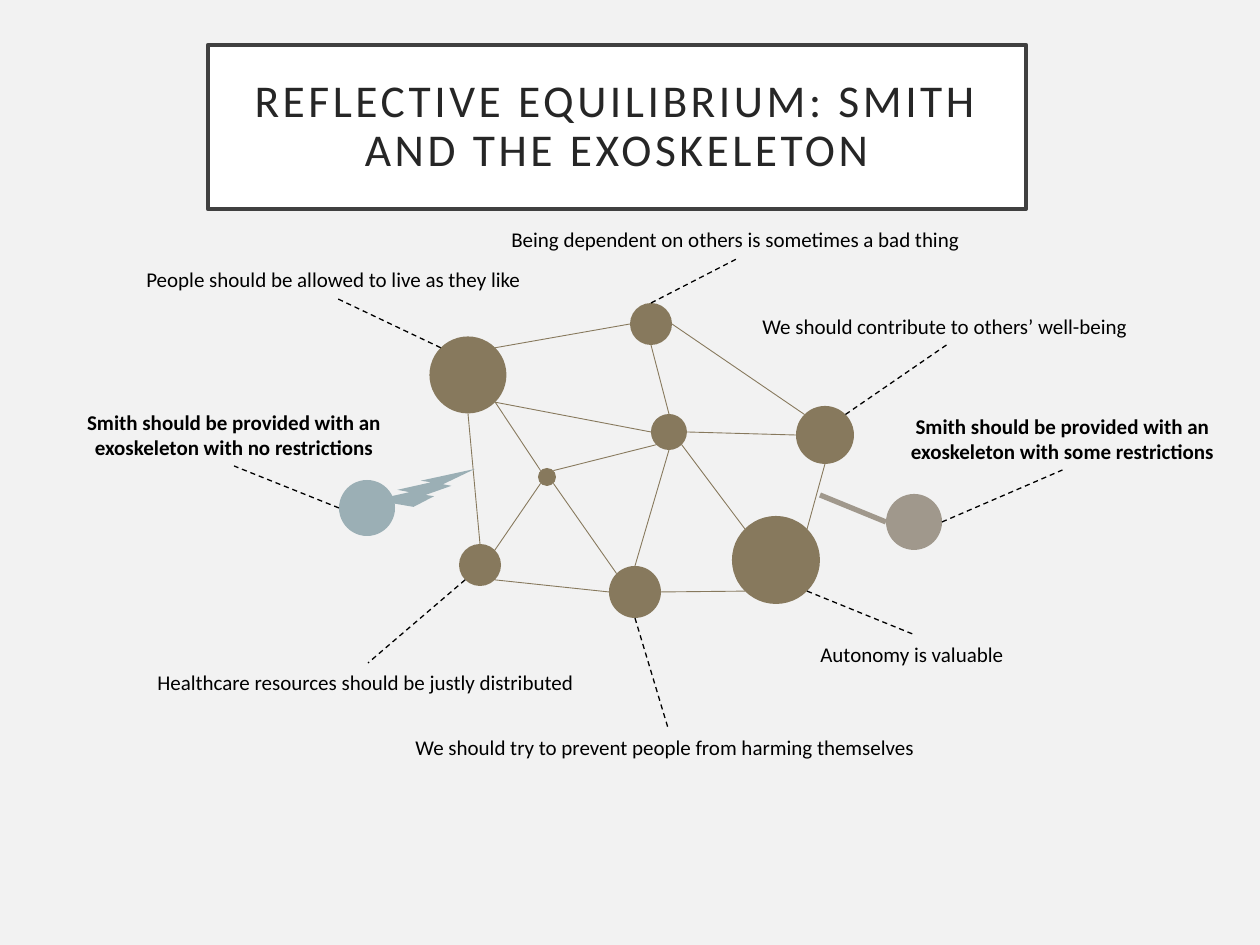
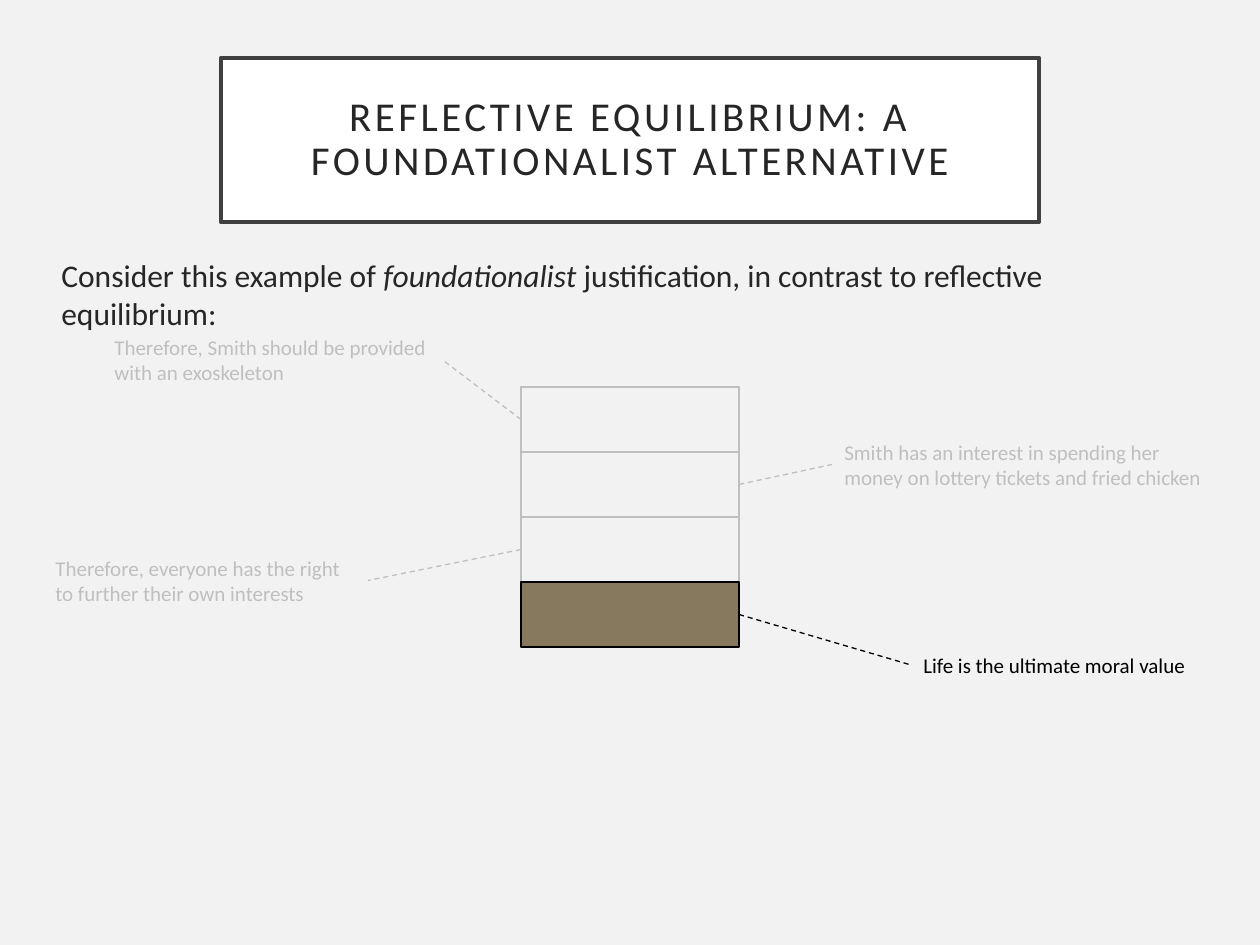
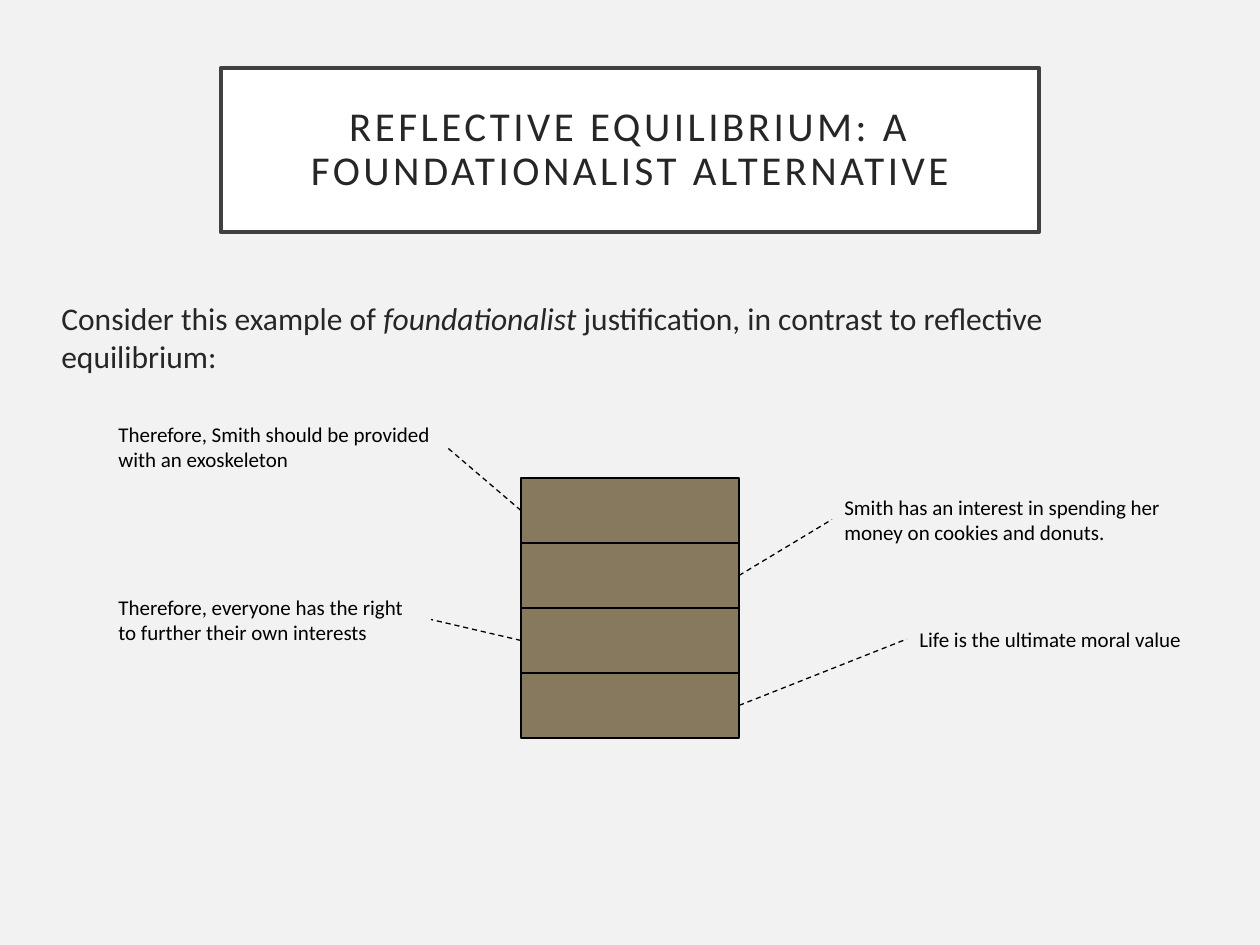
from math import sqrt

from lxml import etree
from pptx import Presentation
from pptx import util as u
from pptx.dml.color import RGBColor
from pptx.enum import dml, shapes, text
from pptx.oxml.ns import qn

PX = 914400 / 126
FONT = "Calibri"
COLORS = {
    "paper": "F2F2F2", "white": "FFFFFF", "frame": "404040", "ink": "262626",
    "black": "000000", "muted": "BFBFBF", "olive": "87795D",
    "blue": "9BAFB5", "taupe": "A0988C",
}
ALIGN = text.PP_ALIGN

WEB_TITLE = "REFLECTIVE EQUILIBRIUM: SMITH AND THE EXOSKELETON"
TOWER_TITLE = "REFLECTIVE EQUILIBRIUM: A FOUNDATIONALIST ALTERNATIVE"
INTRO = [("Consider this example of ", False), ("foundationalist", True),
         (" justification, in contrast to reflective equilibrium:", False)]

# Beliefs: centre x, centre y, diameter, color
NODES = {
    "dependence": (651, 324, 42, "olive"),
    "wellbeing": (825, 435, 58, "olive"),
    "hub": (669, 432, 36, "olive"),
    "liberty": (468, 375, 77, "olive"),
    "minor": (547, 477, 18, "olive"),
    "justice": (480, 565, 42, "olive"),
    "harm": (635, 592, 52, "olive"),
    "autonomy": (776, 560, 88, "olive"),
    "unrestricted": (367, 508, 56, "blue"),
    "restricted": (914, 522, 56, "taupe"),
}
# Each link joins a compass point of one node to one of another
LINKS = [
    ("dependence", "E", "wellbeing", "NW"), ("hub", "E", "wellbeing", "W"),
    ("dependence", "S", "hub", "N"), ("dependence", "W", "liberty", "NE"),
    ("liberty", "SE", "hub", "W"), ("liberty", "S", "justice", "N"),
    ("justice", "SE", "harm", "W"), ("harm", "E", "autonomy", "SW"),
    ("autonomy", "NE", "wellbeing", "S"), ("justice", "NE", "minor", "SW"),
    ("liberty", "SE", "minor", "NW"), ("minor", "NE", "hub", "SW"),
    ("minor", "SE", "harm", "NW"), ("hub", "SE", "autonomy", "NW"),
    ("hub", "S", "harm", "N"),
]
# Labels: node, compass point, text, left, top, width
BELIEFS = [
    ("autonomy", "SE", "Autonomy is valuable", 808, 635, 214),
    ("wellbeing", "NE", "We should contribute to others’ well-being", 750, 307, 393),
    ("liberty", "NW", "People should be allowed to live as they like", 134, 260, 404),
    ("dependence", "N", "Being dependent on others is sometimes a bad thing", 499, 220, 479),
    ("harm", "S", "We should try to prevent people from harming themselves", 403, 728, 530),
    ("justice", "SW", "Healthcare resources should be justly distributed", 145, 663, 446),
]
JUDGEMENTS = [
    ("unrestricted", "W",
     "Smith should be provided with an\nexoskeleton with no restrictions", 72, 403, 324),
    ("restricted", "E",
     "Smith should be provided with an\nexoskeleton with some restrictions", 896, 407, 333),
]
BOLT = (374, 469, 101, 38)
BAR_START = (820, 495)

CONCLUSION = "Therefore, Smith should be provided\nwith an exoskeleton"
RIGHT = "Therefore, everyone has the right to further their own interests"
VALUE = "Life is the ultimate moral value"
SPENDING = "Smith has an interest in spending her money on "
# Steps run from the top block down: text, left, top, width, height, active
TOWERS = [
    {"title_top": 58, "intro_top": 250, "tower_top": 387, "steps": [
        (CONCLUSION, 102, 328, 340, 63, False),
        (SPENDING + "lottery tickets and fried chicken", 832, 433, 393, 63, False),
        (RIGHT, 43, 549, 325, 63, False),
        (VALUE, 911, 646, 290, 38, True)]},
    {"title_top": 68, "intro_top": 293, "tower_top": 478, "steps": [
        (CONCLUSION, 106, 415, 340, 63, True),
        (SPENDING + "cookies and donuts.", 832, 488, 393, 63, True),
        (RIGHT, 106, 588, 325, 63, True),
        (VALUE, 907, 620, 290, 38, True)]},
]
BLOCK_LEFT, BLOCK_WIDTH, BLOCK_HEIGHT = 521, 218, 65


def emu(*lengths):
    return [u.Emu(round(length * PX)) for length in lengths]


def rgb(name):
    return RGBColor.from_string(COLORS[name])


def style(target, **values):
    for name, value in values.items():
        setattr(target, name, value)


def style_font(font, size, color, **values):
    style(font, name=FONT, size=u.Pt(size), **values)
    font.color.rgb = rgb(color)


def paint(shape, fill, line=None, width=1):
    shape.fill.solid()
    shape.fill.fore_color.rgb = rgb(fill)
    if line:
        shape.line.color.rgb = rgb(line)
        shape.line.width = u.Pt(width)
    else:
        shape.line.fill.background()


def add_page(deck, title, left, top, size):
    page = deck.slides.add_slide(deck.slide_layouts[5])
    box = page.shapes.title
    style(box, **dict(zip(("left", "top", "width", "height"), emu(left, top, 818, 164))))
    paint(box, "white", "frame", 2.5)
    frame = box.text_frame
    frame.text = title
    inset = u.Inches(0.2)
    style(frame, word_wrap=True, auto_size=text.MSO_AUTO_SIZE.NONE,
          vertical_anchor=text.MSO_ANCHOR.MIDDLE, margin_left=inset,
          margin_right=inset, margin_top=inset, margin_bottom=inset)
    para = frame.paragraphs[0]
    style(para, alignment=ALIGN.CENTER, line_spacing=0.9)
    span = para.runs[0]
    style_font(span.font, size, "ink")
    span.font._element.set("spc", "200")
    return page


def add_shape(page, kind, place, fill, line=None):
    shape = page.shapes.add_shape(kind, *emu(*place))
    shape.shadow.inherit = False
    paint(shape, fill, line)
    return shape


def add_line(page, start, end, color, width, dashed=False):
    line = page.shapes.add_connector(
        shapes.MSO_CONNECTOR.STRAIGHT, *emu(*start, *end))
    line.line.color.rgb = rgb(color)
    line.line.width = u.Pt(width)
    if dashed:
        line.line.dash_style = dml.MSO_LINE.DASH
    etree.SubElement(line._element.spPr, qn("a:effectLst"))


def add_label(page, words, place, color="black", bold=False, align=ALIGN.LEFT):
    frame = page.shapes.add_textbox(*emu(*place)).text_frame
    frame.word_wrap = True
    frame.text = words
    for para in frame.paragraphs:
        para.alignment = align
        style_font(para.runs[0].font, 12, color, bold=bold)


def add_intro(page, top):
    frame = page.shapes.add_textbox(*emu(49, top, 1160, 111)).text_frame
    frame.word_wrap = True
    for words, italic in INTRO:
        span = frame.paragraphs[0].add_run()
        span.text = words
        style_font(span.font, 18, "ink", italic=italic)


def rim(node, point):
    """Return where a compass point lies on the edge of a node."""
    x, y, diameter, _ = NODES[node]
    reach = diameter / 2 / sqrt(len(point))
    return (x + reach * (("E" in point) - ("W" in point)),
            y + reach * (("S" in point) - ("N" in point)))


def add_callout(page, node, point, words, left, top, width, height=38, **look):
    """Label a node, with a dashed line from the label's nearer long side."""
    below = top > NODES[node][1]
    end = (left + width / 2, top if below else top + height)
    add_line(page, rim(node, point), end, "black", 0.75, dashed=True)
    add_label(page, words, (left, top, width, height), **look)


def build_web(deck):
    page = add_page(deck, WEB_TITLE, 208, 45, 26)
    for x, y, size, color in NODES.values():
        add_shape(page, shapes.MSO_SHAPE.OVAL,
                  (x - size / 2, y - size / 2, size, size), color)
    for first, leaving, second, arriving in LINKS:
        add_line(page, rim(first, leaving), rim(second, arriving), "olive", 0.5)
    for belief in BELIEFS:
        add_callout(page, *belief)
    for judgement in JUDGEMENTS:
        add_callout(page, *judgement, height=63, bold=True, align=ALIGN.CENTER)
    bolt = add_shape(page, shapes.MSO_SHAPE.LIGHTNING_BOLT, BOLT, "blue")
    bolt._element.spPr.get_or_add_xfrm().set("flipV", "1")
    add_line(page, BAR_START, rim("restricted", "W"), "taupe", 3)


def build_tower(deck, title_top, intro_top, tower_top, steps):
    page = add_page(deck, TOWER_TITLE, 221, title_top, 23.4)
    add_intro(page, intro_top)
    for index, (words, left, top, width, height, active) in enumerate(steps):
        color = "black" if active else "muted"
        block_top = tower_top + index * BLOCK_HEIGHT
        add_shape(page, shapes.MSO_SHAPE.RECTANGLE,
                  (BLOCK_LEFT, block_top, BLOCK_WIDTH, BLOCK_HEIGHT),
                  "olive" if active else "paper", color)
        if left < BLOCK_LEFT:
            label_x, block_x = left + width, BLOCK_LEFT
        else:
            label_x, block_x = left, BLOCK_LEFT + BLOCK_WIDTH
        add_line(page, (block_x, block_top + BLOCK_HEIGHT / 2),
                 (label_x, top + height / 2), color, 0.75, dashed=True)
        add_label(page, words, (left, top, width, height), color)


def main():
    deck = Presentation()
    style(deck, slide_width=u.Inches(10), slide_height=u.Inches(7.5))
    background = deck.slide_master.background.fill
    background.solid()
    background.fore_color.rgb = rgb("paper")
    build_web(deck)
    for tower in TOWERS:
        build_tower(deck, **tower)
    deck.save("out.pptx")


if __name__ == "__main__":
    main()
